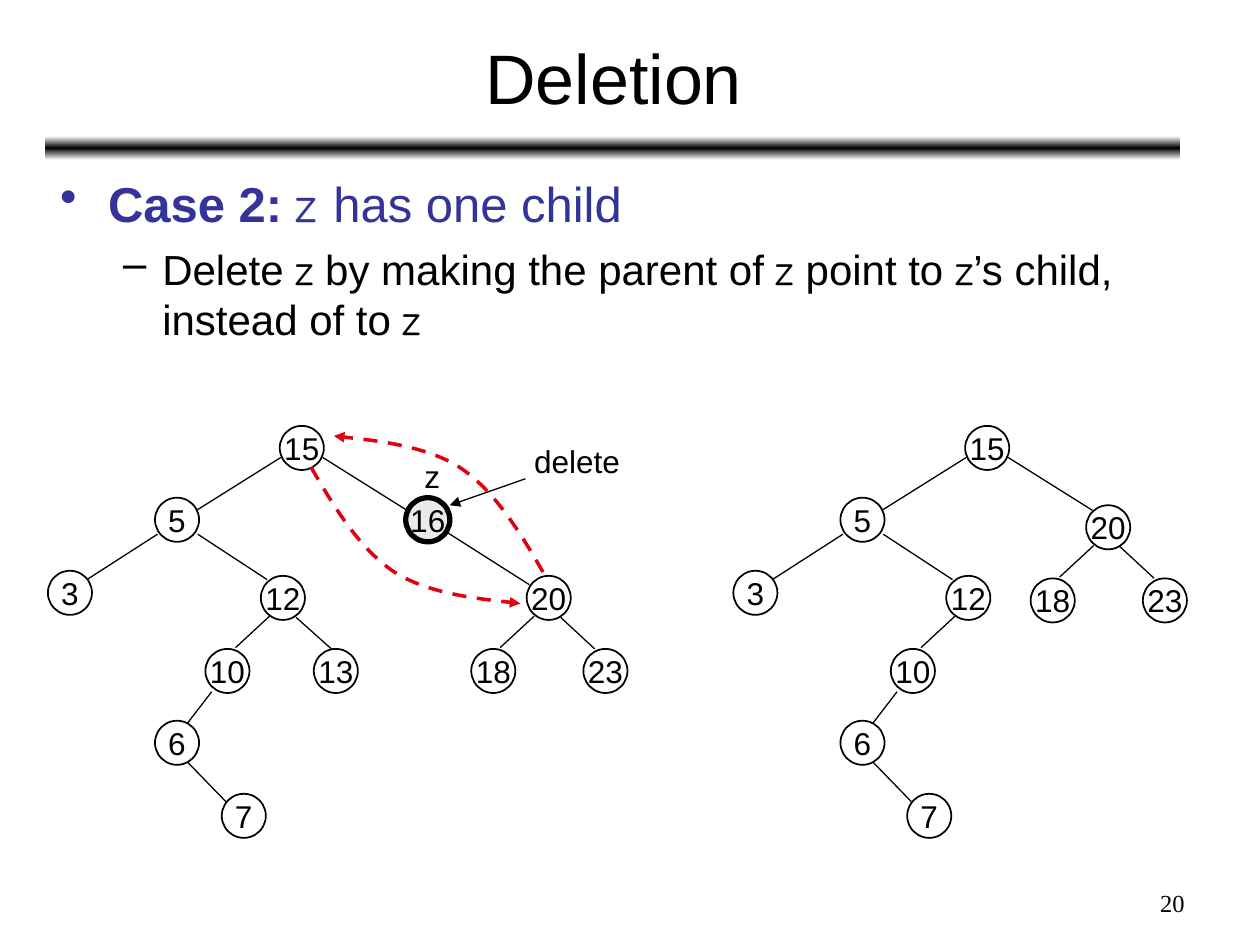
from copy import deepcopy
from itertools import cycle
from lxml.etree import SubElement
from pptx import Presentation
from pptx.dml.color import RGBColor
from pptx.enum.dml import MSO_LINE
from pptx.enum.shapes import MSO_CONNECTOR, MSO_SHAPE
from pptx.enum.text import MSO_ANCHOR, PP_ALIGN
from pptx.oxml.ns import qn
from pptx.util import Inches, Pt

LEFT, CENTER, RIGHT = PP_ALIGN.LEFT, PP_ALIGN.CENTER, PP_ALIGN.RIGHT
TOP, MIDDLE = MSO_ANCHOR.TOP, MSO_ANCHOR.MIDDLE
OVAL, BAR = MSO_SHAPE.OVAL, MSO_SHAPE.ROUNDED_RECTANGLE
STRAIGHT, DASH = MSO_CONNECTOR.STRAIGHT, MSO_LINE.DASH

COLUMNS, ROWS = 100, 75
NODE = 3.5
BLACK, WHITE, GRAY, BLUE, RED = "000000", "FFFFFF", "EAEAEA", "333399", "DD0111"
SANS, COMIC, SERIF = "Arial", "Comic Neue", "Times New Roman"

ROOT_NODES = [("15", 22.2, 33.8)]
ROOT_EDGES = [(22.3, 36.3, 15.6, 40.5), (25.6, 36.3, 32.3, 40.5)]
LEFT_NODES = [("5", 12.3, 39.5), ("3", 3.8, 45.3), ("12", 20.7, 45.7),
              ("10", 16.3, 51.5), ("6", 12.3, 57.2), ("7", 17.6, 63)]
LEFT_EDGES = [(12.5, 42.4, 6.9, 46), (15.7, 42.4, 21.2, 46), (21.4, 48.9, 18.7, 51.4),
              (16.8, 54.9, 14.8, 57.5), (14.9, 60.5, 18, 63.7)]
RIGHT_NODES = [("20", 41.8, 45.7), ("18", 37.4, 51.5), ("23", 46.3, 51.5)]
RIGHT_EDGES = [(42.4, 48.9, 39.7, 51.4), (44.5, 49, 47.2, 51.5)]
AFTER = (54.4, 0)
MOVED_UP = (44.4, -5.6)
BYPASS = [(24.7, 37.1), (26.6, 40.4), (28.6, 43.6), (31.3, 45.4),
          (34.1, 47.2), (39.7, 47.7), (41.3, 47.9)]
BYPASS_BACK = [(67.8 - column, 82.5 - row) for column, row in BYPASS]


def rgb(value):
    return RGBColor.from_string(value)


class SlideBuilder:
    def __init__(self):
        self.deck = Presentation()
        self.deck.slide_width, self.deck.slide_height = Inches(10), Inches(7.5)
        self.page = self.deck.slides.add_slide(self.deck.slide_layouts[6])
        self.canvas = self.page.shapes

    def place(self, *lengths):
        units = cycle((self.deck.slide_width / COLUMNS, self.deck.slide_height / ROWS))
        return [round(length * unit) for length, unit in zip(lengths, units)]

    def start_group(self):
        self.canvas = self.page.shapes.add_group_shape().shapes

    def end_group(self):
        self.canvas = self.page.shapes

    def add_span(self, para, text, size, color=BLACK, font=SANS, bold=False):
        span = para.add_run()
        span.text = text
        span.font.size, span.font.name, span.font.bold = Pt(size), font, bold
        span.font.color.rgb = rgb(color)

    def text_box(self, area, wrap=True, anchor=TOP):
        box = self.canvas.add_textbox(*self.place(*area))
        box.text_frame.word_wrap = wrap
        box.text_frame.vertical_anchor = anchor
        return box.text_frame

    def label(self, text, area, size=18, align=LEFT, font=SANS, wrap=False, anchor=TOP):
        para = self.text_box(area, wrap, anchor).paragraphs[0]
        para.alignment = align
        self.add_span(para, text, size, font=font)

    def bullet(self, para, mark, color, level, margin, indent, space):
        para.level = level
        para.space_before = Pt(space)
        properties = para._p.get_or_add_pPr()
        properties.set("marL", str(Inches(margin)))
        properties.set("indent", str(Inches(indent)))
        SubElement(SubElement(properties, qn("a:buClr")), qn("a:srgbClr"), val=color)
        SubElement(properties, qn("a:buChar"), char=mark)

    def gradient_bar(self, area, stops):
        bar = self.canvas.add_shape(BAR, *self.place(*area))
        bar.shadow.inherit = False
        bar.line.fill.background()
        bar.fill.gradient()
        bar.fill.gradient_angle = 90
        stop_list = bar._element.spPr.find(".//" + qn("a:gsLst"))
        stop_list.append(deepcopy(stop_list[0]))
        for stop, (position, color) in zip(bar.fill.gradient_stops, stops):
            stop.position = position
            stop.color.rgb = rgb(color)

    def node(self, text, column, row, fill=WHITE, width=1):
        circle = self.canvas.add_shape(OVAL, *self.place(column, row, NODE, NODE))
        circle.shadow.inherit = False
        circle.fill.solid()
        circle.fill.fore_color.rgb = rgb(fill)
        circle.line.color.rgb = rgb(BLACK)
        circle.line.width = Pt(width)
        frame = circle.text_frame
        frame.word_wrap = False
        frame.vertical_anchor = MIDDLE
        frame.paragraphs[0].alignment = CENTER
        self.add_span(frame.paragraphs[0], text, 18)

    def arrowhead(self, shape):
        SubElement(shape._element.spPr.find(qn("a:ln")), qn("a:tailEnd"), type="triangle")

    def edge(self, ends, arrow=False):
        line = self.canvas.add_connector(STRAIGHT, *self.place(*ends))
        line.line.color.rgb = rgb(BLACK)
        line.line.width = Pt(0.75)
        if arrow:
            self.arrowhead(line)
        SubElement(line._element.spPr, qn("a:effectLst"))

    def curved_arrow(self, points):
        start, *others = [self.place(*point) for point in points]
        outline = self.canvas.build_freeform(*start)
        outline.add_line_segments(others, close=False)
        curve = outline.convert_to_shape()
        curve.shadow.inherit = False
        curve.fill.background()
        curve.line.color.rgb = rgb(RED)
        curve.line.width = Pt(2)
        curve.line.dash_style = DASH
        self.arrowhead(curve)
        route = curve._element.spPr.find(".//" + qn("a:path"))
        segments = route.findall(qn("a:lnTo"))
        for first in range(0, len(segments), 3):
            bend = SubElement(route, qn("a:cubicBezTo"))
            for segment in segments[first:first + 3]:
                bend.append(segment[0])
                route.remove(segment)

    def branch(self, nodes, edges, shift=(0, 0)):
        across, down = shift
        for x1, y1, x2, y2 in edges:
            self.edge((x1 + across, y1 + down, x2 + across, y2 + down))
        for text, column, row in nodes:
            self.node(text, column + across, row + down)


def main():
    slide = SlideBuilder()
    slide.gradient_bar((3.6, 10.8, 90.1, 1.9), [(0, WHITE), (0.5, BLACK), (1, WHITE)])
    slide.label("Deletion", (3.7, 1.1, 90, 9.9), 40, CENTER, wrap=True, anchor=MIDDLE)

    body = slide.text_box((3.8, 13.3, 90, 21.2))
    case = body.paragraphs[0]
    slide.bullet(case, "•", BLUE, 0, 0.38, -0.38, 7)
    slide.add_span(case, "Case 2: ", 28, BLUE, bold=True)
    slide.add_span(case, "z ", 28, BLUE, COMIC)
    slide.add_span(case, "has one child", 28, BLUE)
    step = body.add_paragraph()
    slide.bullet(step, "–", BLACK, 1, 0.81, -0.31, 6)
    for text in ("Delete ", " by making the parent of ", " point to ",
                 "’s child, instead of to "):
        slide.add_span(step, text, 24)
        slide.add_span(step, "z", 24, font=COMIC)

    slide.start_group()
    slide.branch(ROOT_NODES, ROOT_EDGES)
    slide.branch(LEFT_NODES, LEFT_EDGES)
    slide.branch([("13", 24.9, 51.5)], [(23.5, 49, 26.3, 51.5)])
    slide.edge((35.4, 42.2, 42, 46.4))
    slide.node("16", 32.2, 39.5, GRAY, 3)
    slide.branch(RIGHT_NODES, RIGHT_EDGES)
    slide.label("delete", (41.4, 34.6, 8.8, 4))
    slide.edge((41.7, 38, 35.7, 40.1), arrow=True)

    slide.start_group()
    slide.branch(ROOT_NODES, ROOT_EDGES, AFTER)
    slide.branch(LEFT_NODES, LEFT_EDGES, AFTER)
    slide.branch(RIGHT_NODES, RIGHT_EDGES, MOVED_UP)
    slide.end_group()

    slide.curved_arrow(BYPASS)
    slide.label("z", (32.7, 35.8, 3.2, 4))
    slide.curved_arrow(BYPASS_BACK)
    slide.label("20", (71.7, 70, 23.3, 3.5), 14, RIGHT, SERIF, wrap=True)
    slide.deck.save("out.pptx")


if __name__ == "__main__":
    main()
